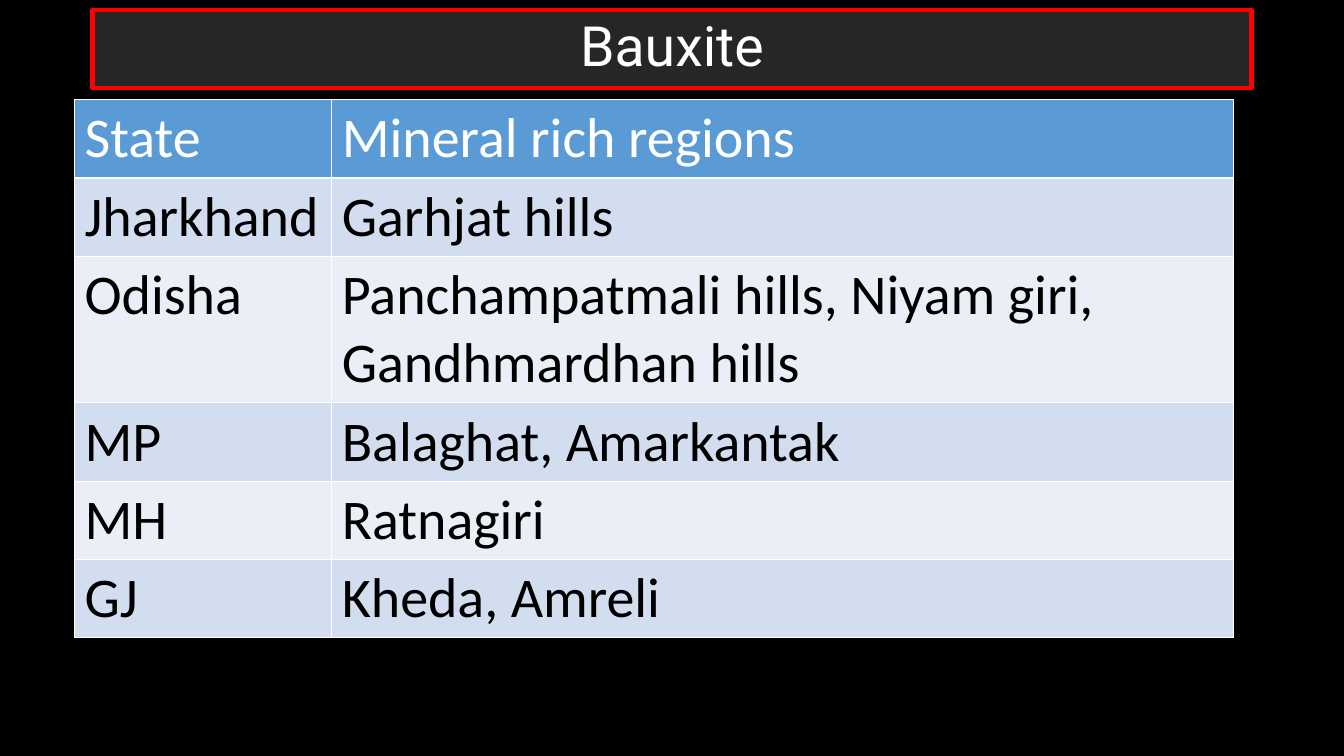
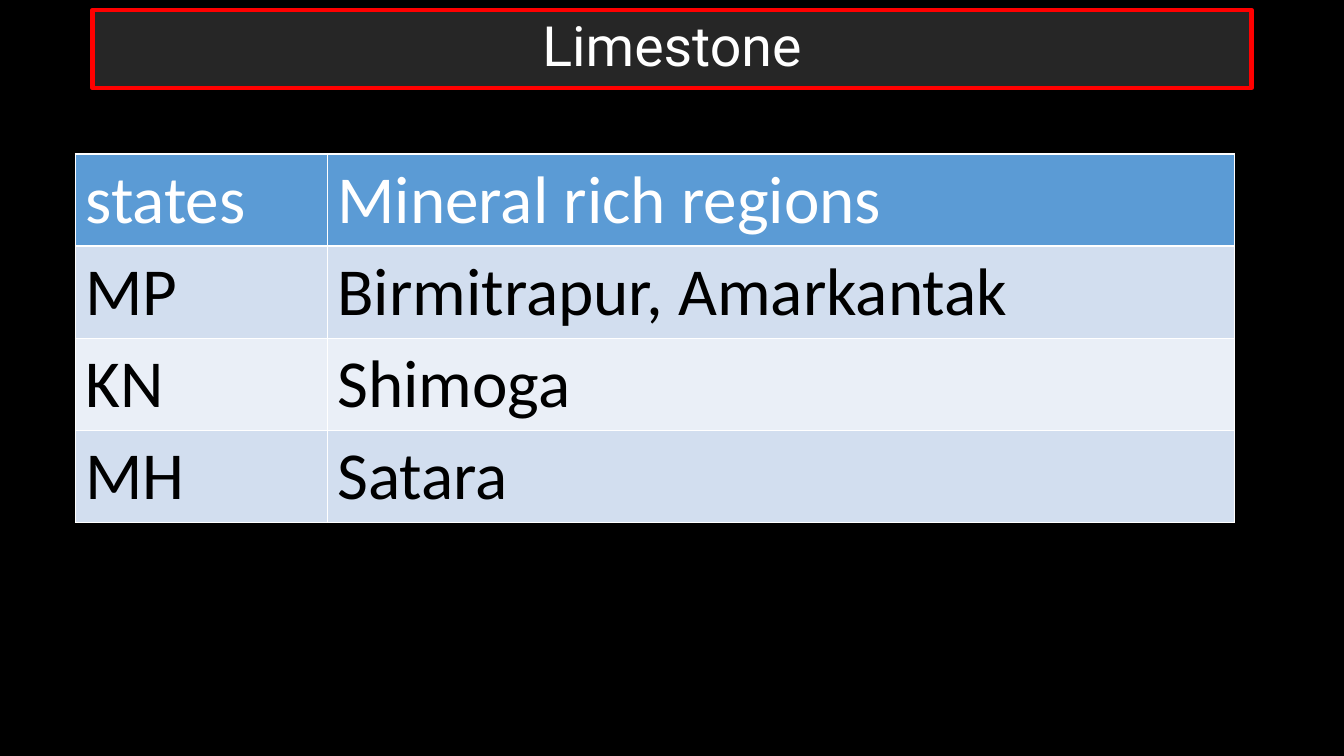
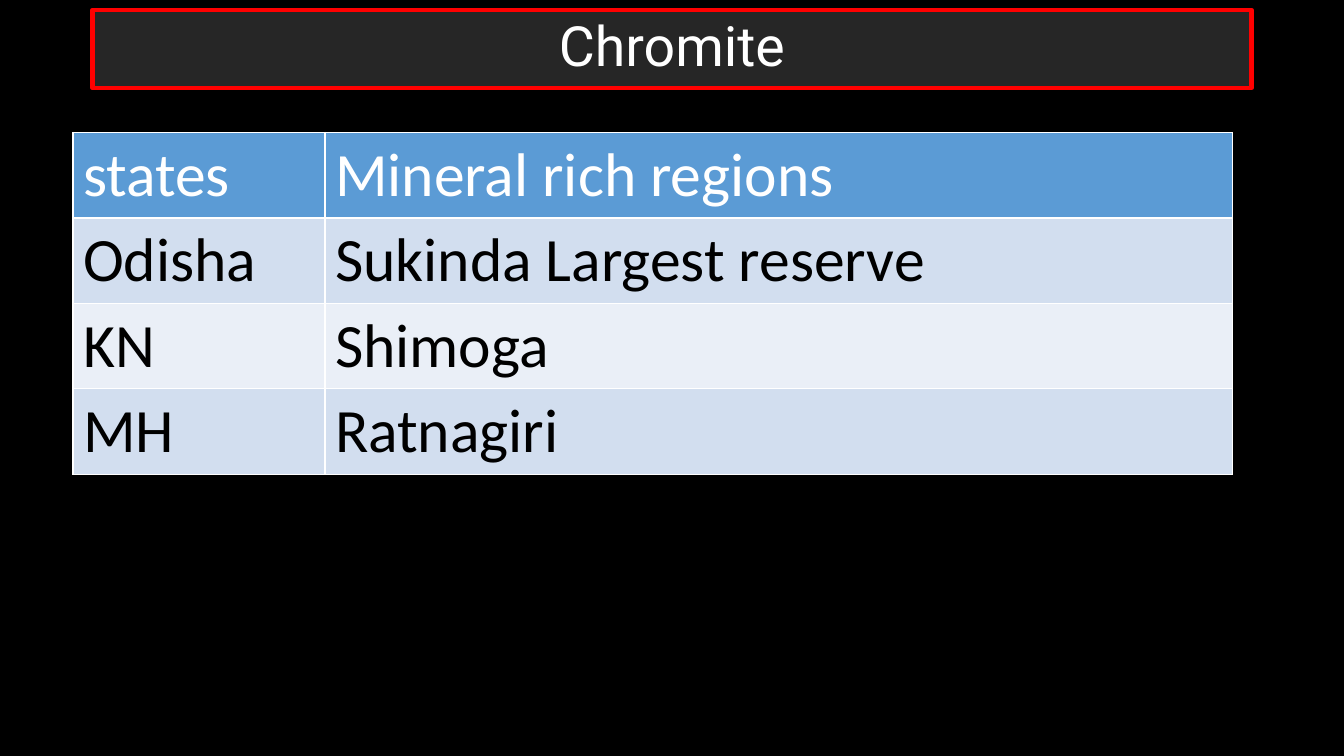
from dataclasses import dataclass

from lxml.etree import SubElement
from pptx import Presentation
from pptx.dml.color import RGBColor
from pptx.enum.shapes import MSO_SHAPE
from pptx.enum.text import MSO_ANCHOR, PP_ALIGN
from pptx.oxml.ns import qn
from pptx.slide import Slide
from pptx.table import _Cell
from pptx.text.text import _Paragraph
from pptx.util import Cm, Pt

COLORS = {
    "background": "000000",
    "title_fill": "262626",
    "title_line": "FF0000",
    "header": "5B9BD5",
    "odd_row": "D2DEEF",
    "even_row": "EAEFF7",
    "light": "FFFFFF",
    "dark": "000000",
}
TITLE_FONT = "Roboto"
TABLE_FONT = "Calibri"
CONTENT_WIDTH = 29.21


@dataclass(frozen=True)
class MineralSlide:
    """One mineral and its regions; lengths in centimetres."""

    title: str
    left: float
    top: float
    state_width: float
    row_height: float
    font_size: int
    rows: tuple[tuple[str, str], ...]


MINERALS = (
    MineralSlide("Bauxite", 1.88, 2.51, 6.48, 1.97, 40, (
        ("State", "Mineral rich regions"),
        ("Jharkhand", "Garhjat hills"),
        ("Odisha", "Panchampatmali hills, Niyam giri, Gandhmardhan hills"),
        ("MP", "Balaghat, Amarkantak"),
        ("MH", "Ratnagiri"),
        ("GJ", "Kheda, Amreli"),
    )),
    MineralSlide("Limestone", 1.9, 3.88, 6.35, 2.32, 48, (
        ("states", "Mineral rich regions"),
        ("MP", "Birmitrapur, Amarkantak"),
        ("KN", "Shimoga"),
        ("MH", "Satara"),
    )),
    MineralSlide("Chromite", 1.84, 3.34, 6.35, 2.15, 44, (
        ("states", "Mineral rich regions"),
        ("Odisha", "Sukinda Largest reserve"),
        ("KN", "Shimoga"),
        ("MH", "Ratnagiri"),
    )),
)


def color(name: str) -> RGBColor:
    return RGBColor.from_string(COLORS[name])


def add_run(paragraph: _Paragraph, text: str, font: str, size: float, color_name: str) -> None:
    run = paragraph.add_run()
    run.text = text
    run.font.name = font
    run.font.size = Pt(size)
    run.font.bold = False
    run.font.color.rgb = color(color_name)


def add_title(slide: Slide, text: str) -> None:
    shape = slide.shapes.add_shape(
        MSO_SHAPE.ROUNDED_RECTANGLE, Cm(2.33), Cm(0.25), Cm(CONTENT_WIDTH), Cm(1.97))
    shape.adjustments[0] = 0
    shape.shadow.inherit = False
    shape.fill.solid()
    shape.fill.fore_color.rgb = color("title_fill")
    shape.line.color.rgb = color("title_line")
    shape.line.width = Pt(3)
    frame = shape.text_frame
    frame.word_wrap = True
    frame.vertical_anchor = MSO_ANCHOR.MIDDLE
    paragraph = frame.paragraphs[0]
    paragraph.alignment = PP_ALIGN.CENTER
    paragraph.line_spacing = 0.9
    add_run(paragraph, text, TITLE_FONT, 39.6, "light")


def style_cell(cell: _Cell, fill_name: str) -> None:
    # Borders come before the fill in the cell properties
    properties = cell._tc.get_or_add_tcPr()
    for side in ("L", "R", "T", "B"):
        line = SubElement(properties, qn(f"a:ln{side}"), w=str(Pt(1)))
        line_fill = SubElement(line, qn("a:solidFill"))
        SubElement(line_fill, qn("a:srgbClr"), val=COLORS["light"])
    cell.fill.solid()
    cell.fill.fore_color.rgb = color(fill_name)


def add_region_table(slide: Slide, mineral: MineralSlide) -> None:
    row_count = len(mineral.rows)
    shape = slide.shapes.add_table(
        row_count, 2, Cm(mineral.left), Cm(mineral.top),
        Cm(CONTENT_WIDTH), Cm(mineral.row_height * row_count))
    table = shape.table
    table.columns[0].width = Cm(mineral.state_width)
    table.columns[1].width = Cm(CONTENT_WIDTH - mineral.state_width)
    for row_index, row in enumerate(mineral.rows):
        if row_index == 0:
            fill_name, text_color = "header", "light"
        else:
            fill_name, text_color = ("odd_row" if row_index % 2 else "even_row"), "dark"
        for column_index, text in enumerate(row):
            cell = table.cell(row_index, column_index)
            style_cell(cell, fill_name)
            add_run(cell.text_frame.paragraphs[0], text, TABLE_FONT,
                    mineral.font_size, text_color)


def main() -> None:
    presentation = Presentation()
    presentation.slide_width = Cm(33.87)
    presentation.slide_height = Cm(19.05)
    blank_layout = presentation.slide_layouts[6]

    # Background shared by every slide
    background = presentation.slide_master.background.fill
    background.solid()
    background.fore_color.rgb = color("background")

    for mineral in MINERALS:
        slide = presentation.slides.add_slide(blank_layout)
        add_region_table(slide, mineral)
        add_title(slide, mineral.title)

    presentation.save("out.pptx")


if __name__ == "__main__":
    main()
